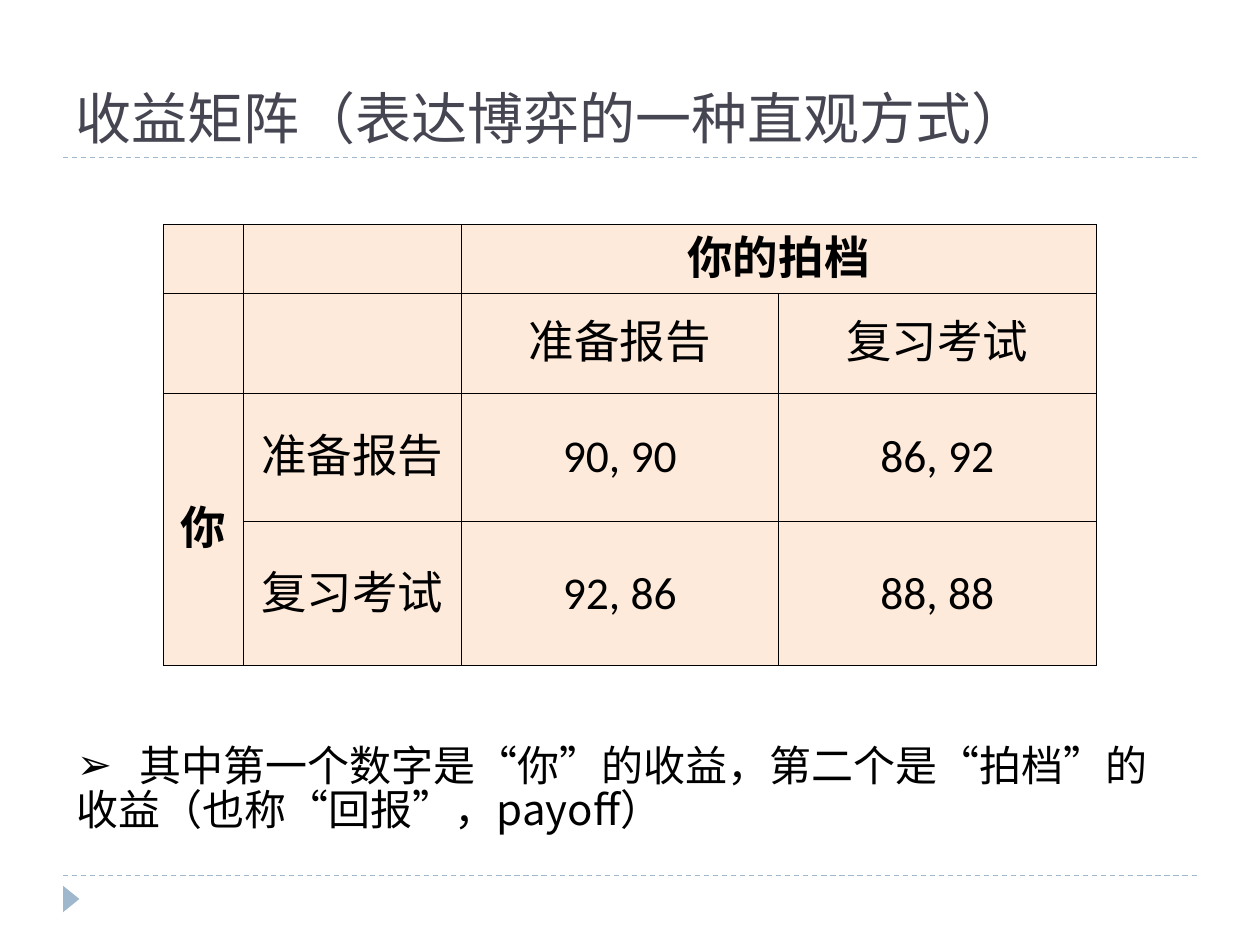
"""Build a slide that shows the payoff matrix of a two-player game."""
from lxml.etree import SubElement as Sub
from pptx import Presentation
from pptx.dml.color import RGBColor
from pptx.enum.dml import MSO_LINE as Dash
from pptx.enum.shapes import MSO_CONNECTOR as Conn, MSO_SHAPE as Shape
from pptx.enum.text import MSO_ANCHOR as Anchor, PP_ALIGN as Align
from pptx.oxml import parse_xml
from pptx.oxml.ns import nsdecls, qn
from pptx.util import Inches, Pt

BLACK = RGBColor(0, 0, 0)
SLATE = RGBColor(0x46, 0x46, 0x53)
BLUE = RGBColor(0x9F, 0xB8, 0xCD)
PEACH = RGBColor(0xFD, 0xEA, 0xDA)

COLS = [0.63, 1.73, 2.52, 2.52]
ROWS = [0.55, 0.79, 1.02, 1.14]
GRID = [
    ["", "", "你的拍档", ""],
    ["", "", "准备报告", "复习考试"],
    ["你", "准备报告", "90, 90", "86, 92"],
    ["", "复习考试", "92, 86", "88, 88"],
]
HEADS = ("你的拍档", "你")
NOTES = [
    ("其中第一个数字是“你”的收益，第二个是“拍档”的", "➢"),
    ("收益（也称“回报”，payoff）", None),
]


def place(item, left, top, wide, high):
    item.left, item.top = Inches(left), Inches(top)
    item.width, item.height = Inches(wide), Inches(high)


def add_run(para, text, size, face, color, bold=False):
    run = para.add_run()
    run.text = text
    font = run.font
    font.size, font.name, font.bold = Pt(size), face, bold
    font.color.rgb = color
    Sub(run._r.get_or_add_rPr(), qn("a:ea")).set("typeface", face)


def add_rule(slide, y):
    line = slide.shapes.add_connector(
        Conn.STRAIGHT, Inches(0.5), Inches(y), Inches(9.5), Inches(y))
    line.line.color.rgb = BLUE
    line.line.width = Pt(0.75)
    line.line.dash_style = Dash.DASH
    Sub(line._element.spPr, qn("a:effectLst"))


def add_mark(slide):
    mark = slide.shapes.add_shape(Shape.ISOSCELES_TRIANGLE, 0, 0, 0, 0)
    place(mark, 0.46, 7.07, 0.21, 0.13)
    mark.rotation = 90
    mark.shadow.inherit = False
    mark.fill.solid()
    mark.fill.fore_color.rgb = BLUE
    mark.line.fill.background()


def set_title(slide, text):
    title = slide.shapes.title
    place(title, 0.5, 0.17, 9, 1.08)
    frame = title.text_frame
    frame.vertical_anchor = Anchor.BOTTOM
    para = frame.paragraphs[0]
    para.alignment = Align.LEFT
    add_run(para, text, 32, "Roboto Slab", SLATE)


def style_cell(cell, text):
    props = cell._tc.get_or_add_tcPr()
    for side in "LRTB":
        props.append(parse_xml(
            f'<a:ln{side} {nsdecls("a")} w="{Pt(0.45)}"><a:solidFill>'
            f'<a:srgbClr val="{BLACK}"/></a:solidFill></a:ln{side}>'))
    cell.fill.solid()
    cell.fill.fore_color.rgb = PEACH
    cell.vertical_anchor = Anchor.MIDDLE
    if text:
        para = cell.text_frame.paragraphs[0]
        para.alignment = Align.CENTER
        add_run(para, text, 26, "Calibri", BLACK, text in HEADS)


def add_matrix(slide):
    frame = slide.shapes.add_table(
        len(ROWS), len(COLS), Inches(1.3), Inches(1.78),
        Inches(sum(COLS)), Inches(sum(ROWS)))
    table = frame.table
    table.first_row = table.horz_banding = False
    for col, wide in zip(table.columns, COLS):
        col.width = Inches(wide)
    for row, high, texts in zip(table.rows, ROWS, GRID):
        row.height = Inches(high)
        for cell, text in zip(row.cells, texts):
            style_cell(cell, text)
    table.cell(0, 2).merge(table.cell(0, 3))
    table.cell(2, 0).merge(table.cell(3, 0))


def set_notes(slide):
    body = slide.placeholders[1]
    place(body, 0.51, 5.88, 8.98, 0.9)
    frame = body.text_frame
    for i, (text, sign) in enumerate(NOTES):
        para = frame.add_paragraph() if i else frame.paragraphs[0]
        props = para._p.get_or_add_pPr()
        props.set("marL", str(Inches(0.5)))
        props.set("indent", str(Inches(-0.5)))
        if sign:
            Sub(props, qn("a:buChar")).set("char", sign)
        else:
            Sub(props, qn("a:buNone"))
        para.space_before = Pt(0)
        para.line_spacing = 0.86
        add_run(para, text, 24, "Noto Sans CJK JP", BLACK)


def main():
    deck = Presentation()
    deck.slide_width, deck.slide_height = Inches(10), Inches(7.5)
    slide = deck.slides.add_slide(deck.slide_layouts[1])
    for y in (6.95, 1.25):
        add_rule(slide, y)
    add_mark(slide)
    set_title(slide, "收益矩阵（表达博弈的一种直观方式）")
    add_matrix(slide)
    set_notes(slide)
    deck.save("out.pptx")


if __name__ == "__main__":
    main()
